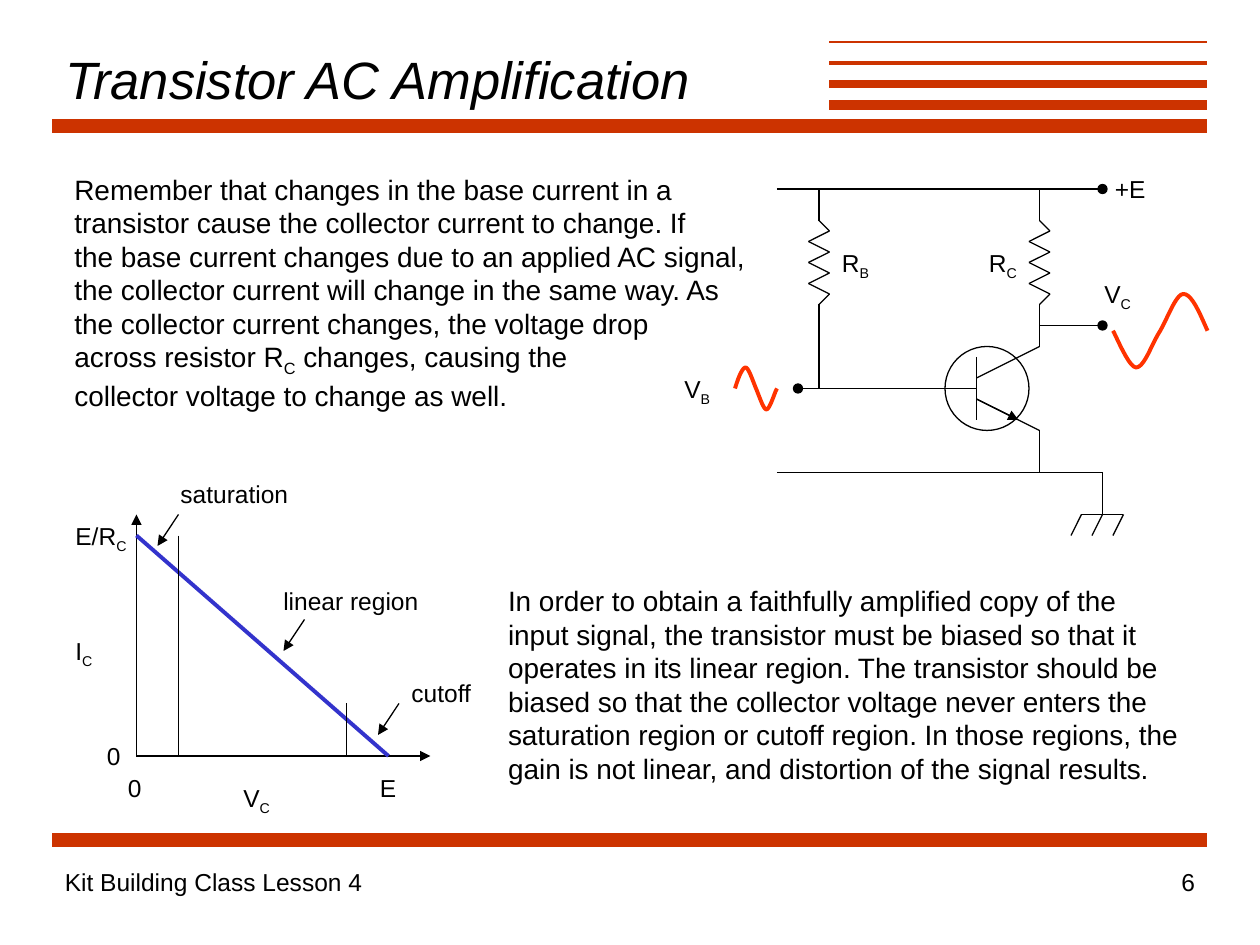
"""Build the slide on AC amplification with a transistor."""
from dataclasses import dataclass
from itertools import pairwise
from typing import NamedTuple

from lxml.etree import SubElement
from pptx import Presentation
from pptx.dml.color import RGBColor as Rgb
from pptx.enum.shapes import MSO_CONNECTOR as Link, MSO_SHAPE as Kind
from pptx.enum.text import MSO_ANCHOR as Anchor, MSO_AUTO_SIZE as Fit, PP_ALIGN as Align
from pptx.oxml.ns import qn
from pptx.util import Emu, Pt

SCALE = 7620


@dataclass(frozen=True)
class Theme:
    font: str = "Arial"
    ink: str = "000000"
    rule: str = "CC3300"
    wave: str = "FF3300"
    load: str = "3333CC"
    title: int = 30
    body: int = 16
    label: int = 14
    thin: float = 0.75
    bold: float = 2.25


class Wire(NamedTuple):
    x1: int
    y1: int
    x2: int
    y2: int
    end: str = ""
    color: str = Theme.ink
    width: float = Theme.thin


class Label(NamedTuple):
    text: str
    x: int
    y: int
    w: int
    h: int = 41
    wrap: bool = False
    size: int = Theme.label
    align: Align = Align.LEFT
    fit: Fit = Fit.SHAPE_TO_FIT_TEXT


RULES = [
    Wire(left, y, 1150, y, "", Theme.rule, width)
    for left, y, width in [
        (50, 120, 8), (790, 100, 6), (790, 80, 4.5),
        (790, 60, 2.25), (790, 40, 1.5), (50, 800, 8),
    ]
]
CORE = [
    Wire(930, 340, 930, 400), Wire(930, 360, 990, 330),
    Wire(930, 380, 970, 400, "triangle"), Wire(930, 370, 880, 370),
    Wire(930, 380, 990, 410),
]
CIRCUIT = [
    Wire(870, 370, 760, 370, "oval"), Wire(870, 370, 900, 370),
    Wire(990, 410, 990, 450), Wire(990, 180, 990, 210),
    Wire(990, 330, 990, 290), Wire(780, 290, 780, 370),
    Wire(780, 180, 780, 210), Wire(740, 180, 1050, 180, "oval"),
    Wire(740, 450, 1050, 450), Wire(1050, 450, 1050, 490),
    Wire(1030, 490, 1070, 490), Wire(990, 310, 1050, 310, "oval"),
    *(Wire(x, 490, x - 10, 510) for x in (1070, 1050, 1030)),
]
GRAPH = [
    Wire(130, 720, 130, 490, "triangle"), Wire(130, 720, 410, 720, "triangle"),
    Wire(130, 510, 370, 720, "", Theme.load, Theme.bold),
    Wire(170, 510, 170, 720), Wire(330, 670, 330, 720),
    *(Wire(x, y, x - 20, y + 30, "triangle")
      for x, y in [(170, 490), (290, 590), (380, 670)]),
]
WAVES = [
    [(700, 370), (703, 360), (707, 350), (710, 350), (713, 350), (717, 363),
     (720, 370), (723, 377), (727, 390), (730, 390), (733, 390), (738, 373),
     (740, 370)],
    [(1150, 315), (1142, 297), (1135, 280), (1127, 280), (1120, 280),
     (1112, 303), (1105, 315), (1097, 327), (1090, 350), (1082, 350),
     (1075, 350), (1063, 320), (1060, 315)],
]
INTRO = """Remember that changes in the base current in a
transistor cause the collector current to change. If
the base current changes due to an applied AC signal,
the collector current will change in the same way. As
the collector current changes, the voltage drop
across resistor R|C| changes, causing the
collector voltage to change as well."""
BIAS = """In order to obtain a faithfully amplified copy of the
input signal, the transistor must be biased so that it
operates in its linear region. The transistor should be
biased so that the collector voltage never enters the
saturation region or cutoff region. In those regions, the
gain is not linear, and distortion of the signal results."""
LABELS = [
    Label("+E", 1050, 160, 56),
    *(Label(text, x, y, w, 44, True) for text, x, y, w in [
        ("R|C", 930, 230, 60), ("R|B", 790, 230, 60), ("V|C", 1040, 260, 60),
        ("V|B", 640, 350, 60), ("V|C", 220, 740, 60), ("I|C", 60, 600, 60),
        ("E/R|C", 60, 490, 80)]),
    Label("E", 350, 730, 42), Label("0", 110, 730, 40), Label("0", 90, 700, 40),
    *(Label(text, x, y, w, wrap=True) for text, x, y, w in [
        ("saturation", 160, 450, 134), ("linear region", 258, 552, 160),
        ("cutoff", 380, 640, 88)]),
    Label(INTRO, 59, 158, 668, 241, size=Theme.body),
    Label(BIAS, 472, 550, 668, 204, size=Theme.body),
    Label("Kit Building Class Lesson 4", 50, 820, 830, 60, True, fit=Fit.NONE),
    Label("6", 900, 820, 250, 60, True, align=Align.RIGHT, fit=Fit.NONE),
]


def px(*nums: int) -> list[Emu]:
    """Turn px lengths into EMU."""
    return [Emu(num * SCALE) for num in nums]


def style(font, size: int) -> None:
    """Give a font the theme's face, ink and a size."""
    font.name, font.size = Theme.font, Pt(size)
    font.color.rgb = Rgb.from_string(Theme.ink)


def stroke(line, color: str, width: float) -> None:
    """Set the colour and width of a line."""
    line.color.rgb = Rgb.from_string(color)
    line.width = Pt(width)


def draw(shapes, wire: Wire) -> None:
    """Draw one straight wire with its end mark."""
    link = shapes.add_connector(Link.STRAIGHT, *px(*wire[:4]))
    stroke(link.line, wire.color, wire.width)
    props = link._element.spPr
    if wire.end:
        SubElement(props.find(qn("a:ln")), qn("a:tailEnd"), type=wire.end)
    SubElement(props, qn("a:effectLst"))


def coil(shapes, x: int) -> None:
    """Draw a resistor zigzag centred on x."""
    group = shapes.add_group_shape().shapes
    bends = [(x + (10 if i % 2 == 0 else -10), 280 - 10 * i) for i in range(7)]
    for start, stop in pairwise([(x, 290), *bends, (x, 210)]):
        draw(group, Wire(*start, *stop))


def core(shapes) -> None:
    """Draw the transistor symbol."""
    group = shapes.add_group_shape().shapes
    for wire in CORE:
        draw(group, wire)
    ring = group.add_shape(Kind.OVAL, *px(900, 330, 80, 80))
    ring.shadow.inherit = False
    ring.fill.background()
    stroke(ring.line, Theme.ink, Theme.thin)


def curve(shapes, knots: list[tuple[int, int]], steps: int = 10) -> None:
    """Draw a smooth wave through cubic segments."""
    dots = []
    for i in range(0, len(knots) - 1, 3):
        for t in (n / steps for n in range(1, steps + 1)):
            mix = ((1 - t) ** 3, 3 * t * (1 - t) ** 2, 3 * t * t * (1 - t), t ** 3)
            dots.append(tuple(
                sum(m * knot[axis] for m, knot in zip(mix, knots[i:i + 4])) * SCALE
                for axis in (0, 1)))
    pen = shapes.build_freeform(*px(*knots[0]))
    pen.add_line_segments(dots, close=False)
    wave = pen.convert_to_shape()
    wave.shadow.inherit = False
    wave.fill.background()
    stroke(wave.line, Theme.wave, Theme.bold)


def write(shapes, label: Label) -> None:
    """Write a label, with every second piece between bars as subscript."""
    frame = shapes.add_textbox(*px(label.x, label.y, label.w, label.h)).text_frame
    frame.word_wrap, frame.auto_size = label.wrap, label.fit
    frame.text = label.text
    for para in frame.paragraphs:
        para.alignment = label.align
        first, *rest = para.text.split("|")
        para.text = first
        for piece in rest:
            para.add_run().text = piece
        for i, run in enumerate(para.runs):
            style(run.font, label.size)
            if i % 2:
                run._r.get_or_add_rPr().set("baseline", "-25000")


def head(title) -> None:
    """Place and format the slide title."""
    title.left, title.top, title.width, title.height = px(50, 40, 740, 70)
    frame = title.text_frame
    frame.text = "Transistor AC Amplification"
    frame.auto_size, frame.vertical_anchor = Fit.NONE, Anchor.MIDDLE
    frame.paragraphs[0].alignment = Align.LEFT
    font = frame.paragraphs[0].runs[0].font
    style(font, Theme.title)
    font.italic = True


def main() -> None:
    """Build and save the deck."""
    deck = Presentation()
    deck.slide_width, deck.slide_height = px(1200, 900)
    shapes = deck.slides.add_slide(deck.slide_layouts[5]).shapes
    head(shapes.title)
    for wire in RULES + CIRCUIT + GRAPH:
        draw(shapes, wire)
    core(shapes)
    for x in (990, 780):
        coil(shapes, x)
    for knots in WAVES:
        curve(shapes, knots)
    for label in LABELS:
        write(shapes, label)
    deck.save("out.pptx")


if __name__ == "__main__":
    main()
